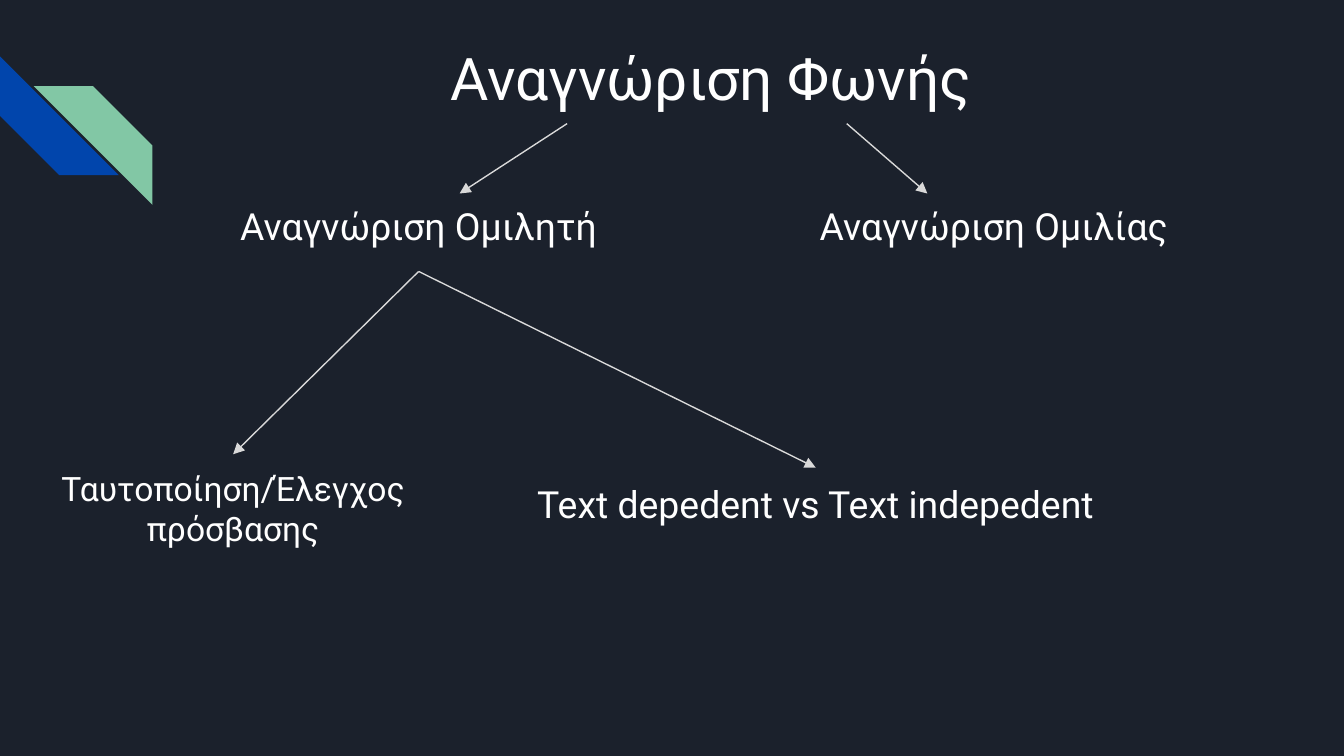
from lxml.etree import SubElement
from pptx import Presentation
from pptx.dml.color import RGBColor
from pptx.enum.shapes import MSO_CONNECTOR, MSO_SHAPE
from pptx.enum.text import MSO_ANCHOR, PP_ALIGN
from pptx.oxml.ns import qn
from pptx.util import Inches, Pt

COLORS = {
    "background": "1B212C",
    "blue": "0145AC",
    "green": "82C7A5",
    "text": "FFFFFF",
    "arrow": "D9D9D9",
}
FONT = "Roboto"

# Lengths are in cells of a square grid, 100 columns across the slide.
COLUMNS, ROWS = 100, 56.25
CELL = Inches(10) / COLUMNS

# name: (text, point size, (left, top, width, height))
TOPICS = {
    "voice": ("Αναγνώριση Φωνής", 31.5, (14.6, 2.1, 76.6, 7.1)),
    "speaker": ("Αναγνώριση Ομιλητή", 20, (15.6, 14.1, 31.1, 6.1)),
    "speech": ("Αναγνώριση Ομιλίας", 20, (58.4, 14.1, 31.1, 6.1)),
    "access": ("Ταυτοποίηση/Έλεγχος πρόσβασης", 18, (1.8, 33.8, 31.1, 8.1)),
    "dependence": ("Text depedent vs Text indepedent", 20, (37.7, 34.8, 46, 7.1)),
}
# parent, child, shift of the start from the parent's bottom centre,
# shift of the end from the child's top centre
BRANCHES = [
    ("voice", "speech", (10.1, 0), (-4.95, 0.3)),
    ("voice", "speaker", (-10.7, 0), (3.05, 0.3)),
    ("speaker", "access", (0, 0), (0, 0)),
    ("speaker", "dependence", (0, 0), (0, 0)),
]
# colour, left, top, rotation
STRIPES = [("blue", 0, 4.2, 270), ("green", 2.5, 6.4, 90)]
STRIPE_SIZE = 8.84


def cells(*values):
    return [round(value * CELL) for value in values]


def color(name):
    return RGBColor.from_string(COLORS[name])


def set_all(target, values):
    for name, value in values.items():
        setattr(target, name, value)


def add_stripe(slide, fill, left, top, rotation):
    stripe = slide.shapes.add_shape(
        MSO_SHAPE.DIAGONAL_STRIPE, *cells(left, top, STRIPE_SIZE, STRIPE_SIZE))
    stripe.adjustments[0] = 0.5
    stripe.rotation = rotation
    stripe.shadow.inherit = False
    stripe.fill.solid()
    stripe.fill.fore_color.rgb = color(fill)
    stripe.line.fill.background()


def add_topic(slide, text, size, box):
    frame = slide.shapes.add_textbox(*cells(*box)).text_frame
    margins = dict.fromkeys(
        ("margin_left", "margin_top", "margin_right", "margin_bottom"), Inches(0.1))
    set_all(frame, {"word_wrap": True, "vertical_anchor": MSO_ANCHOR.TOP, **margins})
    paragraph = frame.paragraphs[0]
    paragraph.alignment = PP_ALIGN.CENTER
    run = paragraph.add_run()
    run.text = text
    set_all(run.font, {"name": FONT, "size": Pt(size)})
    run.font.color.rgb = color("text")


def add_branch(slide, parent, child, start_shift, end_shift):
    left, top, width, height = TOPICS[parent][2]
    start = (left + width / 2 + start_shift[0], top + height + start_shift[1])
    left, top, width, height = TOPICS[child][2]
    end = (left + width / 2 + end_shift[0], top + end_shift[1])
    arrow = slide.shapes.add_connector(MSO_CONNECTOR.STRAIGHT, *cells(*start, *end))
    arrow.line.width = Pt(0.75)
    arrow.line.color.rgb = color("arrow")
    properties = arrow._element.spPr
    SubElement(properties.find(qn("a:ln")), qn("a:tailEnd"), type="triangle")
    SubElement(properties, qn("a:effectLst"))


def main():
    presentation = Presentation()
    width, height = cells(COLUMNS, ROWS)
    set_all(presentation, {"slide_width": width, "slide_height": height})
    slide = presentation.slides.add_slide(presentation.slide_layouts[6])
    slide.background.fill.solid()
    slide.background.fill.fore_color.rgb = color("background")

    for stripe in STRIPES:
        add_stripe(slide, *stripe)
    for topic in TOPICS.values():
        add_topic(slide, *topic)
    for branch in BRANCHES:
        add_branch(slide, *branch)
    presentation.save("out.pptx")


if __name__ == "__main__":
    main()
